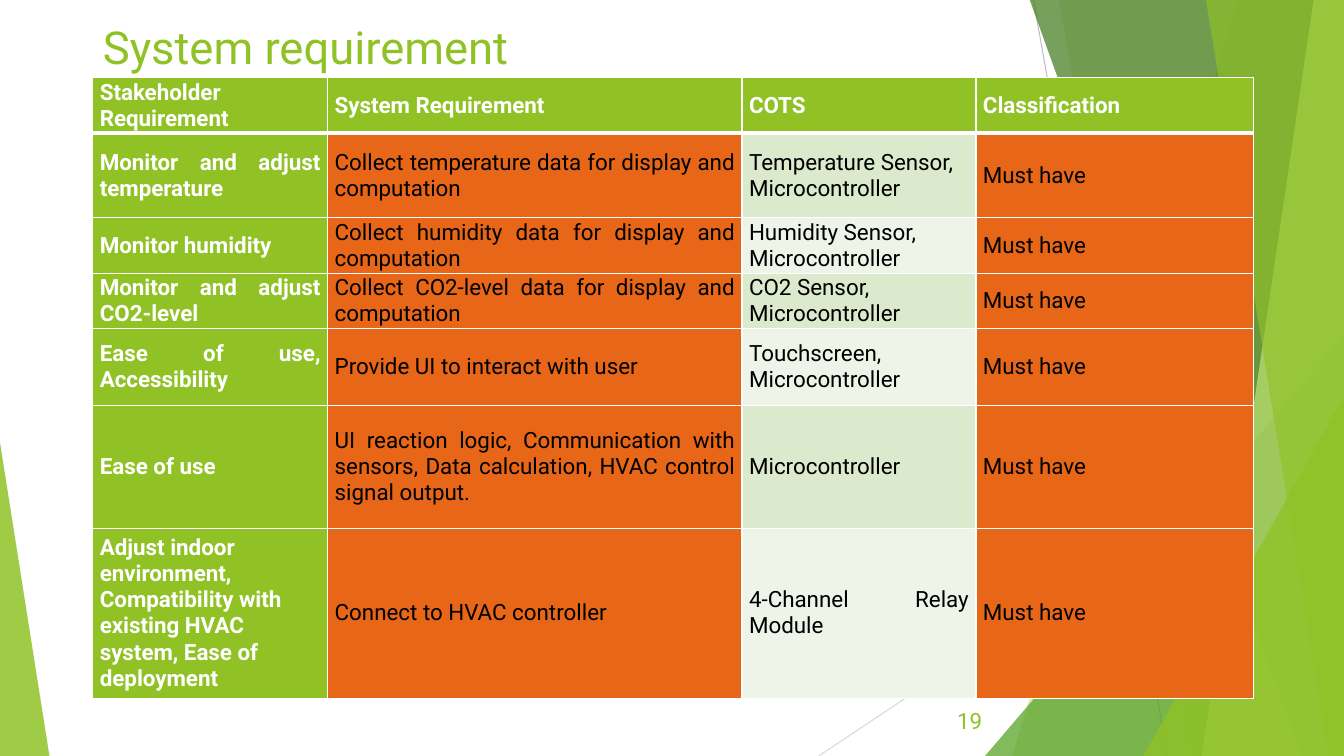
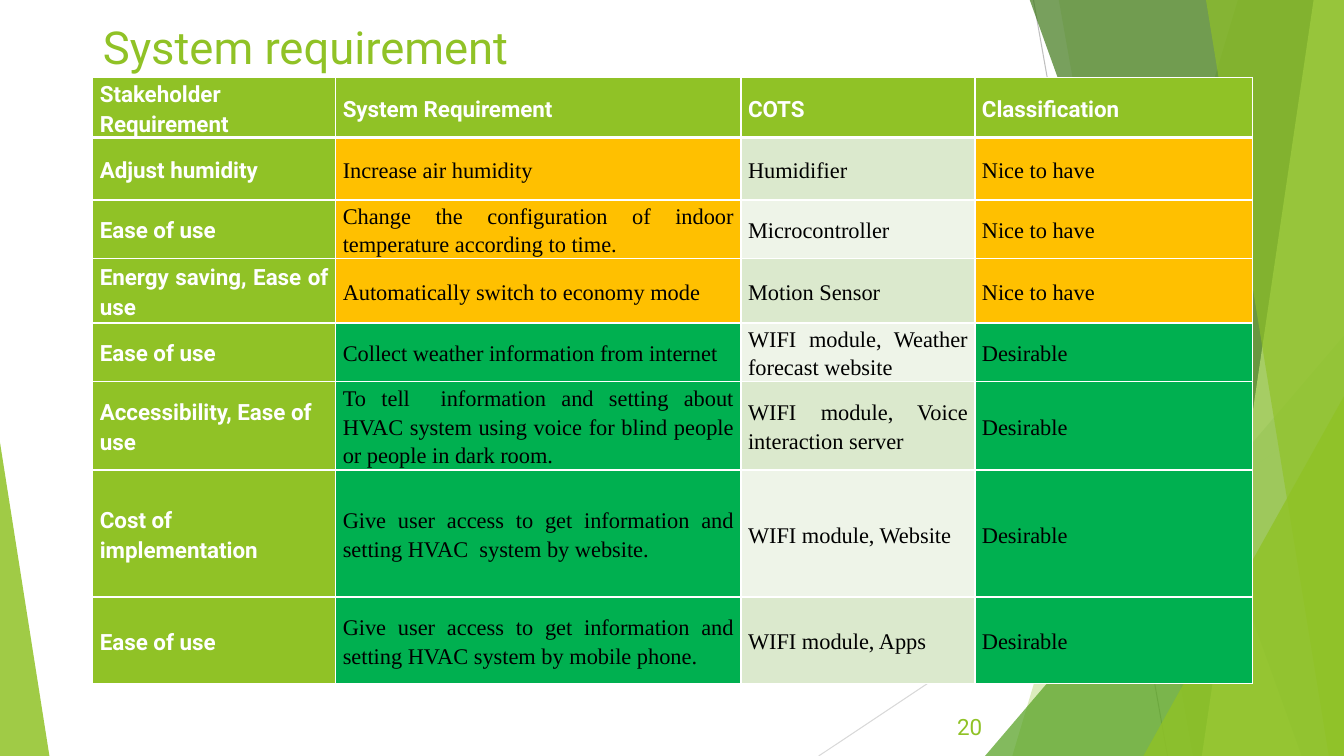
from dataclasses import dataclass

from lxml import etree
from pptx import Presentation
from pptx.dml.color import RGBColor
from pptx.enum.shapes import MSO_CONNECTOR, MSO_SHAPE, PP_PLACEHOLDER
from pptx.enum.text import MSO_ANCHOR, MSO_AUTO_SIZE, PP_ALIGN
from pptx.oxml.ns import qn
from pptx.util import Pt

PX = 9144
SLIDE_W, SLIDE_H = 1333, 750
TITLE_ONLY = 5
STRAIGHT = MSO_CONNECTOR.STRAIGHT
TRIANGLE = MSO_SHAPE.ISOSCELES_TRIANGLE
TITLE = PP_PLACEHOLDER.TITLE
MIDDLE = MSO_ANCHOR.MIDDLE
NO_AUTOFIT = MSO_AUTO_SIZE.NONE
LEFT, RIGHT, JUSTIFY = PP_ALIGN.LEFT, PP_ALIGN.RIGHT, PP_ALIGN.JUSTIFY


@dataclass(frozen=True)
class Theme:
    accent: str = "90C226"
    leaf: str = "54A021"
    forest: str = "3F7819"
    lime: str = "C0E474"
    white: str = "FFFFFF"
    black: str = "000000"
    dark_rule: str = "BFBFBF"
    light_rule: str = "D9D9D9"
    bands: tuple = ("DBE9CD", "EEF4E8")
    must_have: str = "E76618"
    nice_to_have: str = "FFC000"
    desirable: str = "00B050"
    font: str = "Roboto"
    serif: str = "Times New Roman"
    title_size: float = 32.4
    text_size: float = 16


THEME = Theme()

CLASS_FILLS = {
    "Must have": THEME.must_have,
    "Nice to have": THEME.nice_to_have,
    "Desirable": THEME.desirable,
}

HEADINGS = ("Stakeholder Requirement", "System Requirement", "COTS", "Classification")

PAGES = [
    {
        "number": ("19", 909, 695, 75, 40),
        "columns": (233, 411, 232, 275),
        "heights": (55, 84, 55, 55, 76, 122, 169),
        "body_font": THEME.font,
        "line_spacing": 1.0,
        "left_cells": {(0, 0), (1, 2), (2, 2), (3, 2), (4, 2), (6, 0)},
        "rows": [
            ("Monitor and adjust temperature",
             "Collect temperature data for display and computation",
             "Temperature Sensor, Microcontroller", "Must have"),
            ("Monitor humidity",
             "Collect humidity data for display and computation",
             "Humidity Sensor, Microcontroller", "Must have"),
            ("Monitor and adjust CO2-level",
             "Collect CO2-level data for display and computation",
             "CO2 Sensor, Microcontroller", "Must have"),
            ("Ease of use, Accessibility", "Provide UI to interact with user",
             "Touchscreen, Microcontroller", "Must have"),
            ("Ease of use",
             "UI reaction logic, Communication with sensors, Data calculation, "
             "HVAC control signal output.",
             "Microcontroller", "Must have"),
            ("Adjust indoor environment, Compatibility with existing HVAC system, "
             "Ease of deployment",
             "Connect to HVAC controller", "4-Channel Relay Module", "Must have"),
        ],
    },
    {
        "number": ("20", 899, 691, 85, 59),
        "columns": (241, 402, 232, 275),
        "heights": (58, 62, 58, 64, 58, 88, 126, 86),
        "body_font": THEME.serif,
        "line_spacing": 1.15,
        "left_cells": {(0, 0), (5, 0), (6, 0)},
        "rows": [
            ("Adjust humidity", "Increase air humidity", "Humidifier", "Nice to have"),
            ("Ease of use",
             "Change the configuration of indoor temperature according to time.",
             "Microcontroller", "Nice to have"),
            ("Energy saving, Ease of use", "Automatically switch to economy mode",
             "Motion Sensor", "Nice to have"),
            ("Ease of use", "Collect weather information from internet",
             "WIFI module, Weather forecast website", "Desirable"),
            ("Accessibility, Ease of use",
             "To tell  information and setting about HVAC system using voice "
             "for blind people or people in dark room.",
             "WIFI module, Voice interaction server", "Desirable"),
            ("Cost of implementation",
             "Give user access to get information and setting HVAC  system by website.",
             "WIFI module, Website", "Desirable"),
            ("Ease of use",
             "Give user access to get information and setting HVAC system by mobile phone.",
             "WIFI module, Apps", "Desirable"),
        ],
    },
]


def px(*lengths):
    return [round(length * PX) for length in lengths]


def apply(target, values):
    for name, value in values.items():
        setattr(target, name, value)


def write(frame, text, color, align, size=THEME.text_size, font=THEME.font,
          bold=False, line_spacing=1.0):
    frame.text = text
    paragraph = frame.paragraphs[0]
    apply(paragraph, {"alignment": align, "line_spacing": line_spacing})
    run_font = paragraph.runs[0].font
    apply(run_font, {"name": font, "size": Pt(size), "bold": bold})
    run_font.color.rgb = RGBColor.from_string(color)


def paint(shape, color, opacity):
    shape.shadow.inherit = False
    shape.line.fill.background()
    shape.fill.solid()
    shape.fill.fore_color.rgb = RGBColor.from_string(color)
    tint = shape.element.spPr.find(".//" + qn("a:srgbClr"))
    etree.SubElement(tint, qn("a:alpha")).set("val", str(opacity * 1000))


def add_rule(shapes, ends, color):
    rule = shapes.add_connector(STRAIGHT, *px(*ends))
    rule.line.width = Pt(0.75)
    rule.line.color.rgb = RGBColor.from_string(color)
    etree.SubElement(rule.element.spPr, qn("a:effectLst"))


def add_facet(shapes, top_x, bottom_x, color, opacity):
    outline = shapes.build_freeform(top_x, -1, scale=PX)
    outline.add_line_segments([(SLIDE_W, -1), (SLIDE_W, SLIDE_H), (bottom_x, SLIDE_H)])
    paint(outline.convert_to_shape(), color, opacity)


def add_corner(shapes, left, top, width, apex, color, opacity):
    corner = shapes.add_shape(TRIANGLE, *px(left, top, width, SLIDE_H - top))
    corner.adjustments[0] = apex
    paint(corner, color, opacity)


def draw_backdrop(shapes):
    add_rule(shapes, (1025, 0, 1158, SLIDE_H), THEME.dark_rule)
    add_rule(shapes, (SLIDE_W, 403, 812, SLIDE_H), THEME.light_rule)
    add_facet(shapes, 1228, 1004, THEME.accent, 30)
    add_facet(shapes, 1050, 1183, THEME.accent, 20)
    add_corner(shapes, 977, 333, 356, 1, THEME.leaf, 72)
    add_facet(shapes, 1021, 1291, THEME.forest, 70)
    add_facet(shapes, 1303, 1192, THEME.lime, 70)
    add_facet(shapes, 1196, 1318, THEME.accent, 65)
    add_corner(shapes, 1134, 393, 199, 1, THEME.accent, 80)
    add_corner(shapes, 0, 439, 49, 0, THEME.accent, 85)


def move_backdrop_to_layout(slide, layout):
    for placeholder in list(layout.placeholders):
        if placeholder.placeholder_format.type != TITLE:
            layout.shapes.element.remove(placeholder.element)
    for shape in list(slide.shapes):
        if not shape.is_placeholder:
            layout.shapes.element.append(shape.element)


def set_title(slide, text):
    title = slide.shapes.title
    apply(title, dict(zip(("left", "top", "width", "height"), px(92, 16, 1150, 61))))
    apply(title.text_frame, {"vertical_anchor": MIDDLE, "auto_size": NO_AUTOFIT})
    write(title.text_frame, text, THEME.accent, LEFT, size=THEME.title_size)


def add_page_number(slide, text, *box):
    number = slide.shapes.add_textbox(*px(*box))
    apply(number.text_frame, {"vertical_anchor": MIDDLE, "word_wrap": True})
    write(number.text_frame, text, THEME.accent, RIGHT)


def border_cell(cell, bottom_width):
    widths = {"a:lnL": 1, "a:lnR": 1, "a:lnT": 1, "a:lnB": bottom_width}
    properties = cell._tc.get_or_add_tcPr()
    for tag, width in widths.items():
        edge = etree.SubElement(properties, qn(tag))
        edge.set("w", str(Pt(width)))
        fill = etree.SubElement(edge, qn("a:solidFill"))
        etree.SubElement(fill, qn("a:srgbClr")).set("val", THEME.white)


def cell_fill(row, column, classification):
    if row == 0 or column == 0:
        return THEME.accent
    if column == 2:
        return THEME.bands[(row - 1) % 2]
    return CLASS_FILLS[classification]


def fill_cell(cell, row, column, texts, page):
    heading = row == 0 or column == 0
    margin = px(7)[0]
    apply(cell, {"vertical_anchor": MIDDLE, "margin_left": margin,
                 "margin_right": margin, "margin_top": 0, "margin_bottom": 0})
    border_cell(cell, 3 if row == 0 else 1)
    cell.fill.solid()
    cell.fill.fore_color.rgb = RGBColor.from_string(cell_fill(row, column, texts[-1]))
    write(cell.text_frame, texts[column],
          THEME.white if heading else THEME.black,
          LEFT if (row, column) in page["left_cells"] else JUSTIFY,
          font=THEME.font if heading else page["body_font"],
          bold=heading, line_spacing=page["line_spacing"])


def add_requirements(slide, page):
    rows = [HEADINGS] + page["rows"]
    columns, heights = page["columns"], page["heights"]
    table = slide.shapes.add_table(
        len(rows), len(columns), *px(92, 77, sum(columns), sum(heights))).table
    table.horz_banding = False
    for column, width in zip(table.columns, px(*columns)):
        column.width = width
    for row, height in zip(table.rows, px(*heights)):
        row.height = height
    for r, texts in enumerate(rows):
        for c in range(len(columns)):
            fill_cell(table.cell(r, c), r, c, texts, page)


def main():
    deck = Presentation()
    deck.slide_width, deck.slide_height = px(SLIDE_W, SLIDE_H)
    layout = deck.slide_layouts[TITLE_ONLY]
    slides = [deck.slides.add_slide(layout) for _ in PAGES]
    draw_backdrop(slides[0].shapes)
    move_backdrop_to_layout(slides[0], layout)
    for slide, page in zip(slides, PAGES):
        set_title(slide, "System requirement")
        add_requirements(slide, page)
        add_page_number(slide, *page["number"])
    deck.save("out.pptx")


if __name__ == "__main__":
    main()
